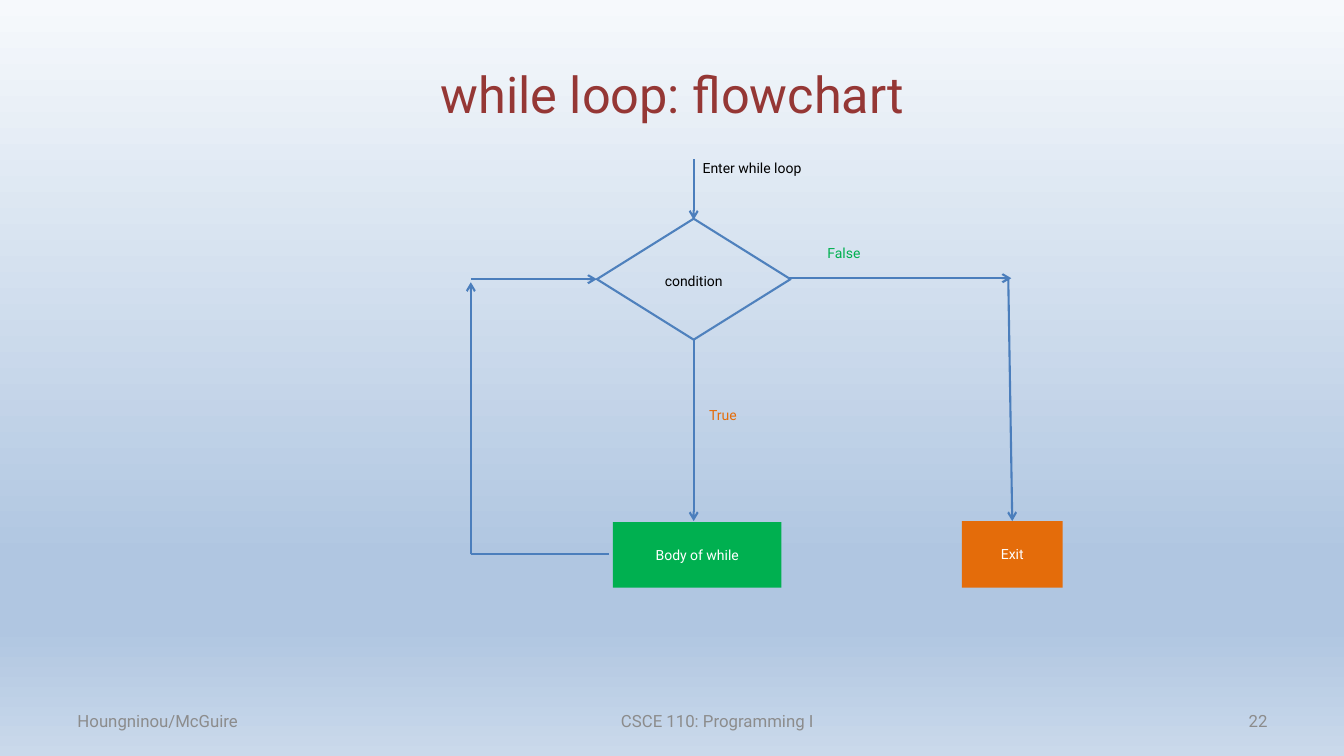
from lxml import etree
from pptx import Presentation
from pptx import util as u
from pptx.dml.color import RGBColor
from pptx.enum import shapes, text
from pptx.oxml import ns

PX = u.Inches(1) // 100
FONT = "Roboto"
MAROON = RGBColor(0x95, 0x37, 0x35)
GREY = RGBColor(0x8C, 0x8C, 0x8C)
BLACK = RGBColor(0, 0, 0)
WHITE = RGBColor(0xFF, 0xFF, 0xFF)
GREEN = RGBColor(0x00, 0xB0, 0x50)
ORANGE = RGBColor(0xE4, 0x6C, 0x0A)
OUTLINE = RGBColor(0x4F, 0x81, 0xBD)
ARROW = RGBColor(0x4B, 0x7E, 0xBC)
SKY_TOP = RGBColor(0xF6, 0xF9, 0xFC)
SKY_DEEP = RGBColor(0xB0, 0xC6, 0xE1)
SKY_LOW = RGBColor(0xCA, 0xD9, 0xEB)
LEFT, CENTER, RIGHT = text.PP_ALIGN.LEFT, text.PP_ALIGN.CENTER, text.PP_ALIGN.RIGHT
MIDDLE, TOP = text.MSO_ANCHOR.MIDDLE, text.MSO_ANCHOR.TOP


def scaled(*lengths):
    """Turn px lengths into EMU."""
    return [u.Emu(length * PX) for length in lengths]


def within(box, left, top, width, height):
    """Return EMU lengths for a part placed relative to a box."""
    return scaled(box[0] + left, box[1] + top, width, height)


def write(frame, words, size, color, align=CENTER, **layout):
    """Fill a text frame with one formatted paragraph."""
    for name, value in {"word_wrap": True, "vertical_anchor": MIDDLE, **layout}.items():
        setattr(frame, name, value)
    paragraph = frame.paragraphs[0]
    paragraph.alignment = align
    run = paragraph.add_run()
    run.text = words
    for name, value in {"name": FONT, "size": u.Pt(size)}.items():
        setattr(run.font, name, value)
    run.font.color.rgb = color


def add_block(slide, preset, place, fill=None, outline=None):
    """Add a flat preset shape."""
    block = slide.shapes.add_shape(preset, *place)
    block.shadow.inherit = False
    for paint, color in ((block.fill, fill), (block.line.fill, outline)):
        if color is None:
            paint.background()
        else:
            paint.solid()
            paint.fore_color.rgb = color
    if outline is not None:
        block.line.width = u.Pt(1.5)
    return block


def add_flow(slide, box, start, end, arrow=True):
    """Add a flow line between two points of a box."""
    points = [box[0] + start[0], box[1] + start[1], box[0] + end[0], box[1] + end[1]]
    flow = slide.shapes.add_connector(shapes.MSO_CONNECTOR.STRAIGHT, *scaled(*points))
    flow.line.color.rgb = ARROW
    flow.line.width = u.Pt(1.5)
    if arrow:
        etree.SubElement(flow.line._get_or_add_ln(), ns.qn("a:tailEnd"), type="arrow")
    etree.SubElement(flow._element.spPr, ns.qn("a:effectLst"))


def paint_background(slide):
    """Paint the vertical four-stop gradient."""
    fill = slide.background.fill
    fill.gradient()
    grad = slide.background._cSld.find(".//" + ns.qn("a:gradFill"))
    for child in list(grad):
        grad.remove(child)
    stops = etree.SubElement(grad, ns.qn("a:gsLst"))
    for percent, color in ((0, SKY_TOP), (74, SKY_DEEP), (83, SKY_DEEP), (100, SKY_LOW)):
        stop = etree.SubElement(stops, ns.qn("a:gs"), pos=str(percent * 1000))
        etree.SubElement(stop, ns.qn("a:srgbClr"), val=str(color))
    etree.SubElement(grad, ns.qn("a:lin"), ang="5400000", scaled="0")


def draw_title(slide, box):
    """Write the slide title."""
    title = slide.shapes.add_textbox(*scaled(*box))
    write(title.text_frame, "while loop: flowchart", 36, MAROON)


def draw_flowchart(slide, box):
    """Draw the while loop from entry to exit."""
    axis = 221
    add_block(slide, shapes.MSO_SHAPE.DIAMOND, within(box, 125, 64, 192, 120), outline=OUTLINE)
    body = add_block(slide, shapes.MSO_SHAPE.RECTANGLE, within(box, 141, 365, 167, 65), GREEN)
    write(body.text_frame, "Body of while", 10, WHITE)
    body.text_frame.paragraphs[0].space_after = u.Pt(6)
    add_block(slide, shapes.MSO_SHAPE.RECTANGLE, within(box, 487, 364, 100, 66), ORANGE)

    for start, end in (
        ((axis, 5), (axis, 65)),
        ((axis, 184), (axis, 364)),
        ((0, 397), (0, 127)),
        ((0, 124), (125, 124)),
        ((316, 123), (536, 123)),
        ((533, 123), (537, 364)),
    ):
        add_flow(slide, box, start, end)
    add_flow(slide, box, (137, 397), (0, 397), arrow=False)

    for words, left, top, width, color, align, wrap in (
        ("Enter while loop", 220, 0, 119, BLACK, LEFT, False),
        ("condition", 125, 112, 192, BLACK, CENTER, True),
        ("True", axis, 245, 58, ORANGE, CENTER, True),
        ("False", 341, 85, 58, GREEN, CENTER, True),
        ("Exit", 487, 383, 100, WHITE, CENTER, True),
    ):
        label = slide.shapes.add_textbox(*within(box, left, top, width, 27))
        write(label.text_frame, words, 10, color, align, word_wrap=wrap,
              vertical_anchor=TOP, auto_size=text.MSO_AUTO_SIZE.SHAPE_TO_FIT_TEXT)


def draw_footer(slide, box):
    """Write authors, course and page number along the bottom."""
    for words, left, width, align in (
        ("Houngninou/McGuire", 0, 311, LEFT),
        ("CSCE 110: Programming I", 389, 511, CENTER),
        ("22", box[2] - 311, 311, RIGHT),
    ):
        note = slide.shapes.add_textbox(*within(box, left, 0, width, box[3]))
        write(note.text_frame, words, 12, GREY, align)


def main():
    """Build and save the slide."""
    deck = Presentation()
    deck.slide_width, deck.slide_height = scaled(1333, 750)
    slide = deck.slides.add_slide(deck.slide_layouts[6])
    paint_background(slide)
    draw_title(slide, (67, 30, 1200, 125))
    draw_flowchart(slide, (467, 153, 587, 430))
    draw_footer(slide, (67, 695, 1200, 40))
    deck.save("out.pptx")


if __name__ == "__main__":
    main()
